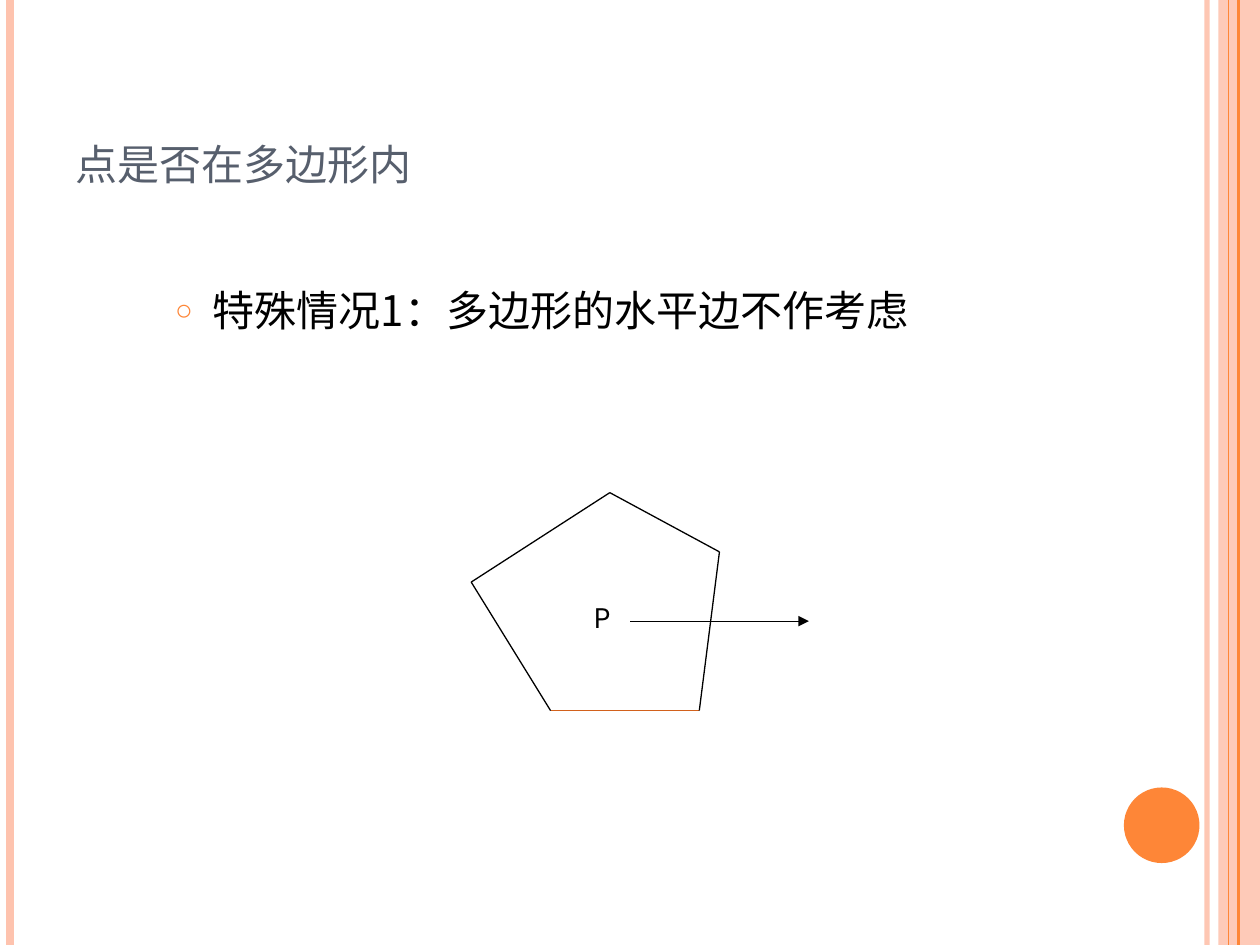
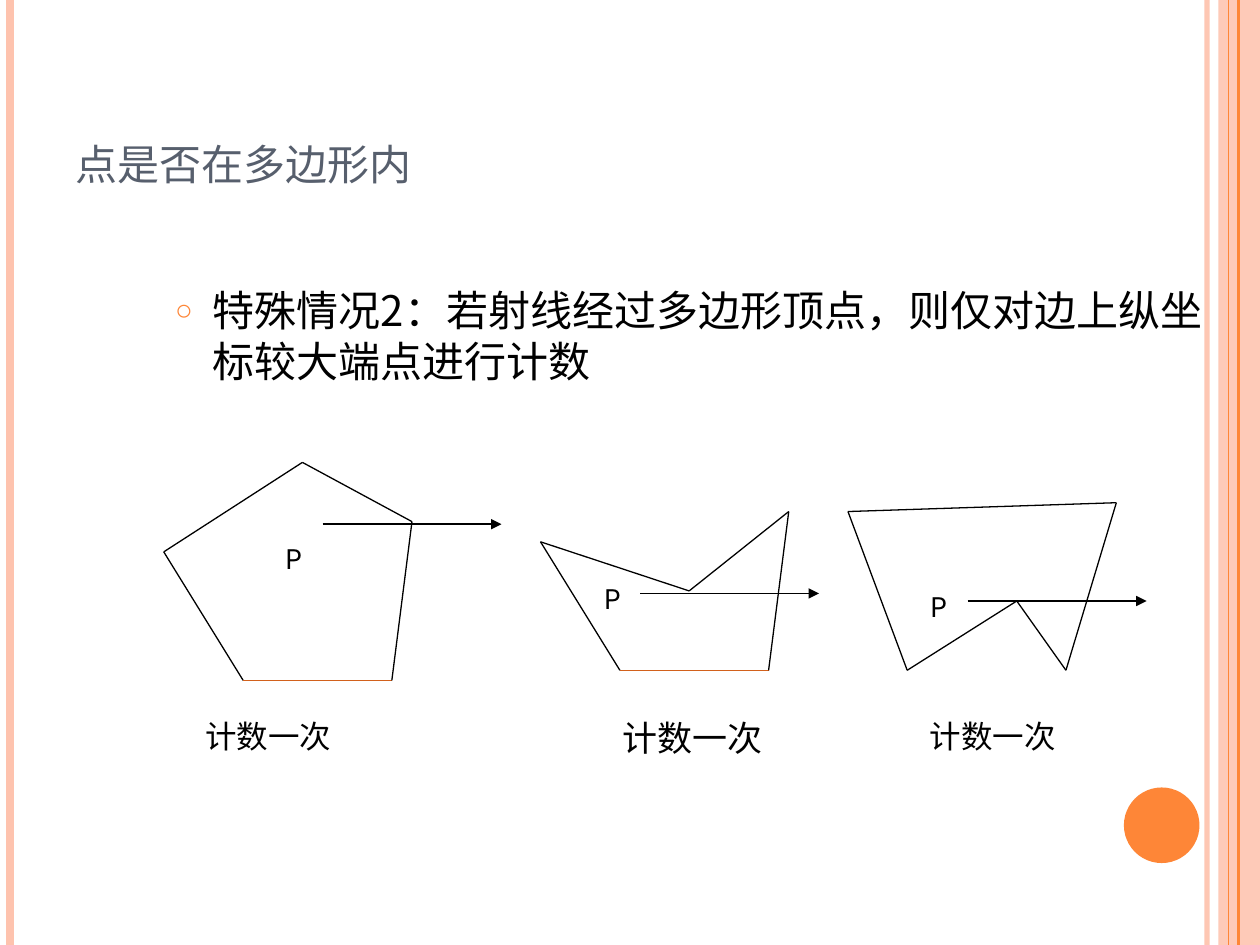
from dataclasses import dataclass
from itertools import count
from typing import Optional

from lxml.etree import SubElement
from pptx import Presentation
from pptx.dml.color import RGBColor
from pptx.enum.shapes import MSO_CONNECTOR as CONNECTOR, MSO_SHAPE as SHAPE
from pptx.enum.text import MSO_ANCHOR as ANCHOR, MSO_AUTO_SIZE as AUTO_SIZE
from pptx.oxml.ns import qn
from pptx.util import Inches, Pt

PEACH = RGBColor(0xFE, 0xC3, 0xAE)
ORANGE = RGBColor(0xFE, 0x86, 0x37)
RUST = RGBColor(0xD2, 0x61, 0x1C)
SLATE = RGBColor(0x57, 0x5F, 0x6D)
BLACK = RGBColor(0, 0, 0)

CJK_FONT = "Noto Sans CJK SC"
LABEL_FONT = "Karla"
TITLE = "点是否在多边形内"
CAPTION = "计数一次"
THIN = 0.74
RAY_LENGTH = 1.42
CAPTION_TOP = 5.64

Point = tuple[float, float]

PENTAGON = [(0.47, -1.73), (-0.63, -1.02), (0, 0), (1.18, 0), (1.34, -1.26)]
DENTED_TOP = [(0.55, -0.63), *PENTAGON[1:]]
DENTED_BASE = [(0.87, -0.55), (0, 0), (-0.47, -1.26), (1.66, -1.33), (1.26, 0)]


@dataclass
class Band:
    x: float
    color: RGBColor
    width: float
    opacity: int = 100


@dataclass
class Caption:
    left: float
    size: int = 18
    font: str = LABEL_FONT
    height: float = 0.4


@dataclass
class Figure:
    origin: Point
    vertices: list[Point]
    ray: Point
    label: Point
    label_width: float = 0.4
    caption: Optional[Caption] = None


@dataclass
class Case:
    text: str
    body_height: float
    figures: list[Figure]


BANDS = [
    Band(9.58, PEACH, 3, 93),
    Band(0.08, PEACH, 4.5),
    Band(9.83, ORANGE, 1.5),
    Band(9.75, ORANGE, THIN),
]

CASES = [
    Case("特殊情况1：多边形的水平边不作考虑", 1.39, [
        Figure((4.37, 5.64), PENTAGON, (0.63, -0.71), (0.24, -0.95), 0.31),
    ]),
    Case("特殊情况2：若射线经过多边形顶点，则仅对边上纵坐标较大端点进行计数", 1.23, [
        Figure((1.93, 5.4), PENTAGON, (0.63, -1.24), (0.23, -1.18), 0.31,
               Caption(1.53)),
        Figure((4.92, 5.32), DENTED_TOP, (0.16, -0.61), (-0.23, -0.78),
               caption=Caption(4.84, 20, "Courier New", 0.44)),
        Figure((7.2, 5.32), DENTED_BASE, (0.48, -0.55), (0.08, -0.72),
               caption=Caption(7.28)),
    ]),
]


def set_opacity(shape, percent: int) -> None:
    if percent < 100:
        clr = next(shape.element.iter(qn("a:srgbClr")))
        SubElement(clr, qn("a:alpha")).set("val", str(percent * 1000))


def add_line(s, start: Point, end: Point, color: RGBColor = BLACK,
             width: float = THIN, arrow: bool = False):
    line = s.shapes.add_connector(CONNECTOR.STRAIGHT, *map(Inches, (*start, *end)))
    line.line.color.rgb = color
    line.line.width = Pt(width)
    if arrow:
        ln = line.element.spPr.find(qn("a:ln"))
        SubElement(ln, qn("a:tailEnd")).set("type", "triangle")
    SubElement(line.element.spPr, qn("a:effectLst"))
    return line


def add_solid(s, kind, box: tuple, color: RGBColor):
    sp = s.shapes.add_shape(kind, *map(Inches, box))
    sp.shadow.inherit = False
    sp.fill.solid()
    sp.fill.fore_color.rgb = color
    sp.line.fill.background()
    return sp


def write(tf, text: str, size: int, font: str, color: RGBColor):
    frame_format = {
        "word_wrap": True,
        "margin_left": Inches(0.1), "margin_right": Inches(0.1),
        "margin_top": Inches(0.05), "margin_bottom": Inches(0.05),
    }
    for name, value in frame_format.items():
        setattr(tf, name, value)
    p = tf.paragraphs[0]
    r = p.add_run()
    r.text = text
    for name, value in {"size": Pt(size), "name": font, "bold": False}.items():
        setattr(r.font, name, value)
    r.font.color.rgb = color
    SubElement(r.font._element, qn("a:ea")).set("typeface", CJK_FONT)
    return p


def add_label(s, text: str, box: tuple, size: int = 18, font: str = LABEL_FONT) -> None:
    tf = s.shapes.add_textbox(*map(Inches, box)).text_frame
    write(tf, text, size, font, BLACK)
    tf.auto_size = AUTO_SIZE.SHAPE_TO_FIT_TEXT


def place(sp, box: tuple) -> None:
    for name, value in zip(("left", "top", "width", "height"), box):
        setattr(sp, name, Inches(value))


def add_bullet(p) -> None:
    pPr = p._p.get_or_add_pPr()
    pPr.set("marL", str(Inches(0.3)))
    pPr.set("indent", str(-Inches(0.3)))
    clr = SubElement(pPr, qn("a:buClr"))
    SubElement(clr, qn("a:srgbClr")).set("val", str(ORANGE))
    SubElement(pPr, qn("a:buSzPct")).set("val", "70000")
    SubElement(pPr, qn("a:buChar")).set("char", "○")


def add_master_bands(prs, s) -> None:
    panel = add_solid(s, SHAPE.RECTANGLE, (9.67, 0, 0.33, 7.5), PEACH)
    set_opacity(panel, 87)
    lines = []
    for band in BANDS:
        line = add_line(s, (band.x, 0), (band.x, 7.5), band.color, band.width)
        set_opacity(line, band.opacity)
        lines.append(line)
    disc = add_solid(s, SHAPE.OVAL, (8.92, 6.25, 0.6, 0.6), ORANGE)
    tree = prs.slide_master.shapes.element
    for shape, shape_id in zip((panel, *lines, disc), count(101)):
        next(shape.element.iter(qn("p:cNvPr"))).set("id", str(shape_id))
        tree.append(shape.element)


def draw_figure(s, fig: Figure) -> None:
    def at(point: Point) -> Point:
        return fig.origin[0] + point[0], fig.origin[1] + point[1]

    for a, b in zip(fig.vertices, fig.vertices[1:] + fig.vertices[:1]):
        add_line(s, at(a), at(b), RUST if a[1] == b[1] else BLACK)
    x, y = at(fig.ray)
    add_line(s, (x, y), (x + RAY_LENGTH, y), arrow=True)
    add_label(s, "P", (*at(fig.label), fig.label_width, 0.4))
    if fig.caption:
        c = fig.caption
        add_label(s, CAPTION, (c.left, CAPTION_TOP, 1.34, c.height), c.size, c.font)


def add_case(prs, case: Case):
    s = prs.slides.add_slide(prs.slide_layouts[1])
    title, body = s.placeholders
    place(title, (0.5, 0.3, 8.17, 1.25))
    title.text_frame.vertical_anchor = ANCHOR.BOTTOM
    p = write(title.text_frame, TITLE, 24, CJK_FONT, SLATE)
    p.alignment = 1
    place(body, (1.29, 2.21, 8.5, case.body_height))
    p = write(body.text_frame, case.text, 24, CJK_FONT, BLACK)
    p.space_before = Pt(6)
    add_bullet(p)
    for fig in case.figures:
        draw_figure(s, fig)
    return s


def main() -> None:
    prs = Presentation()
    prs.slide_width, prs.slide_height = Inches(10), Inches(7.5)
    slides = [add_case(prs, case) for case in CASES]
    add_master_bands(prs, slides[0])
    prs.save("out.pptx")


main()
